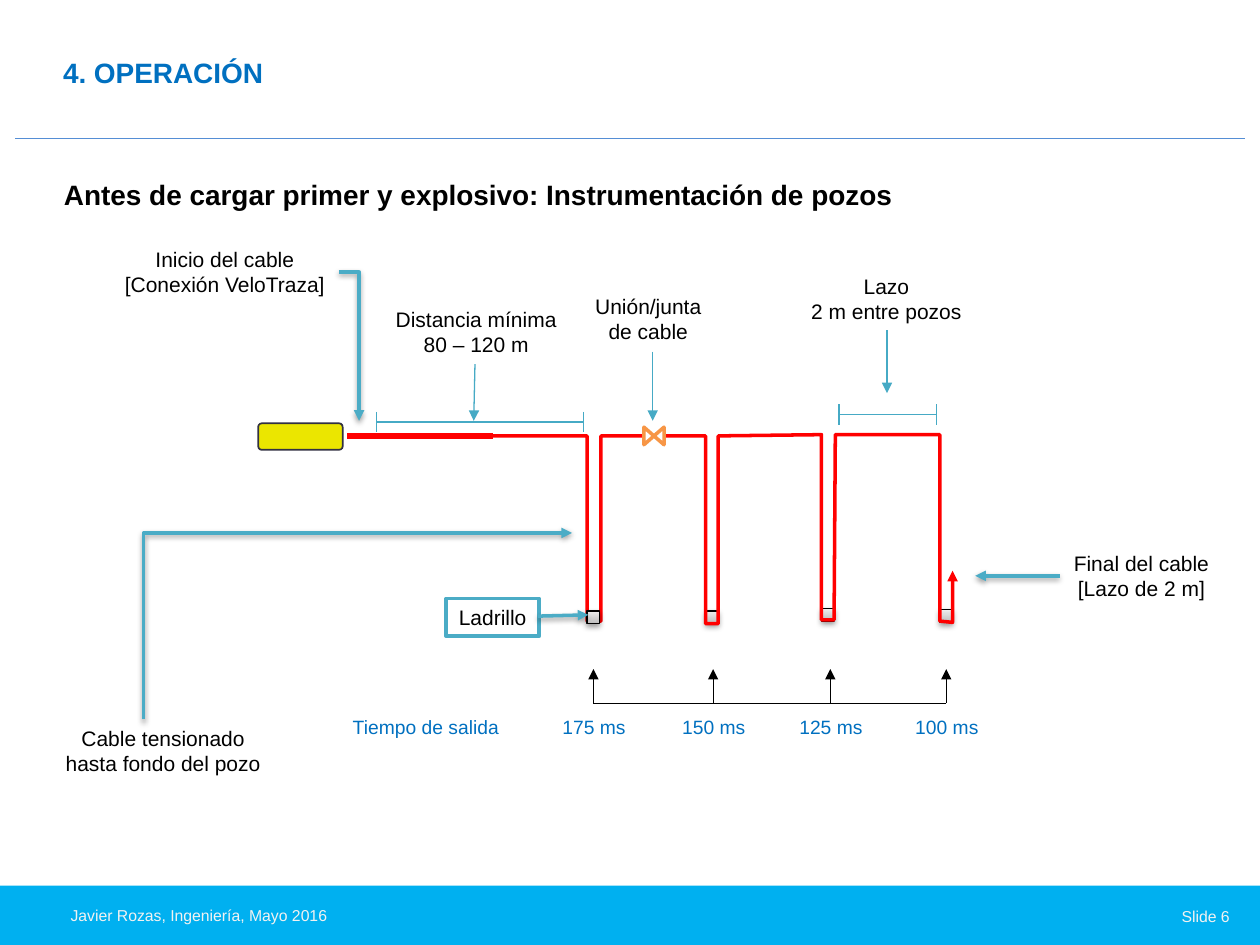
"""Build the slide on instrumenting blast holes before loading."""
from typing import NamedTuple

from lxml import etree
from pptx import Presentation
from pptx.dml.color import RGBColor
from pptx.enum.shapes import MSO_CONNECTOR, MSO_SHAPE
from pptx.enum.text import MSO_ANCHOR, PP_ALIGN
from pptx.oxml.ns import qn
from pptx.util import Inches, Pt

STRAIGHT, ELBOW = MSO_CONNECTOR.STRAIGHT, MSO_CONNECTOR.ELBOW
RECT, ROUNDED, COLLATE = MSO_SHAPE.RECTANGLE, MSO_SHAPE.ROUNDED_RECTANGLE, MSO_SHAPE.FLOWCHART_COLLATE
LEFT, CENTER, RIGHT = PP_ALIGN.LEFT, PP_ALIGN.CENTER, PP_ALIGN.RIGHT
MIDDLE = MSO_ANCHOR.MIDDLE
BLACK, WHITE, PALE, BLUE = "000000", "FFFFFF", "F2F2F2", "0070C0"
BAND, RULE, TEAL, THIN_TEAL, RED = "00B0F0", "558ED5", "4BACC6", "46AAC5", "FF0000"
BRICK = 0.1


class Label(NamedTuple):
    text: str
    x: float
    y: float
    w: float
    h: float = 0.5
    size: float = 12
    color: str = BLACK
    align: PP_ALIGN = CENTER
    bold: bool = False
    inset: bool = True


class Line(NamedTuple):
    x1: float
    y1: float
    x2: float
    y2: float
    color: str = THIN_TEAL
    width: float = 0.75
    arrow: bool = False
    shadow: bool = False
    elbow: str = ""


LABELS = [
    Label("Slide 6", 7.43, 7.2, 2.33, 0.2, 9, PALE, RIGHT, inset=False),
    Label("Javier Rozas, Ingeniería, Mayo 2016", 0.56, 7.19, 6.58, 0.2, 9, PALE, LEFT, inset=False),
    Label("Antes de cargar primer y explosivo: Instrumentación de pozos",
          0.41, 1.36, 6.86, 0.37, 16, align=LEFT, bold=True),
    Label("Final del cable\n[Lazo de 2 m]", 8.41, 4.32, 1.3),
    Label("Inicio del cable\n[Conexión VeloTraza]", 0.88, 1.91, 1.81),
    Label("Lazo\n2 m entre pozos", 6.33, 2.12, 1.41),
    Label("Distancia mínima\n80 – 120 m", 3.01, 2.38, 1.54),
    Label("Unión/junta\nde cable", 4.62, 2.28, 1.05),
    Label("Cable tensionado\nhasta fondo del pozo", 0.39, 5.71, 1.81),
    Label("Tiempo de salida", 2.69, 5.63, 1.38, 0.29, 11, BLUE),
]
DELAYS = [("175 ms", 4.71), ("150 ms", 5.66), ("125 ms", 6.59), ("100 ms", 7.51)]
BRICKS = [(5.6, 4.85), (6.52, 4.83), (7.46, 4.84)]
CABLE = [
    (3.89, 3.46), (4.66, 3.46), (4.66, 4.93), (4.77, 4.93), (4.77, 3.46),
    (5.6, 3.46), (5.6, 4.95), (5.7, 4.95), (5.7, 3.46),
    (6.52, 3.45), (6.52, 4.92), (6.62, 4.92), (6.63, 3.45),
    (7.46, 3.45), (7.46, 4.93), (7.56, 4.94), (7.56, 4.53),
]
POINTERS = [
    Line(8.41, 4.57, 7.74, 4.57, TEAL, 2, True, True),
    Line(2.69, 2.16, 2.85, 3.34, TEAL, 2, True, True, "bentConnector2"),
    Line(1.14, 5.71, 4.54, 4.23, TEAL, 2, True, True, "bentConnector3"),
    Line(7.04, 2.62, 7.04, 3.12, arrow=True),
    Line(3.77, 2.89, 3.76, 3.34, arrow=True),
    Line(5.18, 2.79, 5.18, 3.34, arrow=True),
]
SPANS = [(2.99, 4.63, 3.35), (6.66, 7.43, 3.29)]


def rgb(value: str) -> RGBColor:
    return RGBColor.from_string(value)


def add_shadow(effects) -> None:
    shadow = etree.SubElement(effects, qn("a:outerShdw"), blurRad="40000", dist="20000",
                              dir="5400000", rotWithShape="0")
    tint = etree.SubElement(shadow, qn("a:srgbClr"), val=BLACK)
    etree.SubElement(tint, qn("a:alpha"), val="38000")


def style_line(s, color: str, width: float, arrow: bool = False) -> None:
    s.line.color.rgb = rgb(color)
    s.line.width = Pt(width)
    if arrow:
        etree.SubElement(s._element.spPr.find(qn("a:ln")), qn("a:tailEnd"), type="triangle")


def write(tf, text: str, size: float, color: str, align: PP_ALIGN, bold: bool = False) -> None:
    tf.text = text
    for p in tf.paragraphs:
        p.alignment = align
        p.font.name, p.font.size, p.font.bold = "Arial", Pt(size), bold
        p.font.color.rgb = rgb(color)


def add_label(shapes, label: Label) -> None:
    s = shapes.add_textbox(*map(Inches, label[1:5]))
    tf = s.text_frame
    tf.word_wrap = not label.inset
    if not label.inset:
        tf.margin_left = tf.margin_right = tf.margin_top = tf.margin_bottom = 0
    write(tf, label.text, label.size, label.color, label.align, label.bold)


def add_line(shapes, line: Line) -> None:
    s = shapes.add_connector(ELBOW if line.elbow else STRAIGHT, *map(Inches, line[:4]))
    style_line(s, line.color, line.width, line.arrow)
    sp = s._element.spPr
    if line.elbow:
        geom = sp.find(qn("a:prstGeom"))
        geom.set("prst", line.elbow)
        if line.elbow == "bentConnector3":
            etree.SubElement(geom.find(qn("a:avLst")), qn("a:gd"), name="adj1", fmla="val 0")
    effects = etree.SubElement(sp, qn("a:effectLst"))
    if line.shadow:
        add_shadow(effects)


def add_box(shapes, kind: MSO_SHAPE, x: float, y: float, w: float, h: float,
            fill: str, line: str = "", width: float = 0):
    s = shapes.add_shape(kind, *map(Inches, (x, y, w, h)))
    s.shadow.inherit = False
    s.fill.solid()
    s.fill.fore_color.rgb = rgb(fill)
    if line:
        style_line(s, line, width)
    else:
        s.line.fill.background()
    return s


def add_brick(shapes, x: float, y: float) -> None:
    s = add_box(shapes, RECT, x, y, BRICK, BRICK, PALE, BLACK, 0.75)
    s.fill.gradient()
    s.fill.gradient_angle = 90
    for stop, color in zip(s.fill.gradient_stops, ("BDBDBD", "EEEEEE")):
        stop.color.rgb = rgb(color)
    add_shadow(s._element.spPr.find(qn("a:effectLst")))


def add_cable(shapes) -> None:
    points = [(Inches(x), Inches(y)) for x, y in CABLE]
    builder = shapes.build_freeform(*points[0])
    builder.add_line_segments(points[1:], close=False)
    s = builder.convert_to_shape()
    s.shadow.inherit = False
    s.fill.background()
    style_line(s, RED, 2, True)


def add_title(s) -> None:
    s.left, s.top, s.width, s.height = map(Inches, (0.5, 0.3, 8.04, 0.59))
    tf = s.text_frame
    tf.margin_left = tf.margin_right = tf.margin_top = tf.margin_bottom = 0
    tf.vertical_anchor = MIDDLE
    write(tf, "4. OPERACIÓN", 16, BLUE, LEFT, True)
    tf.paragraphs[0].line_spacing = 0.83


def main() -> None:
    prs = Presentation()
    prs.slide_width, prs.slide_height = Inches(10), Inches(7.5)
    shapes = prs.slides.add_slide(prs.slide_layouts[5]).shapes
    add_title(shapes.title)
    add_box(shapes, RECT, 0, 7.03, 10, 0.47, BAND)
    add_line(shapes, Line(0.12, 1.1, 9.88, 1.1, RULE))
    for x, y in BRICKS:
        add_brick(shapes, x, y)
    add_cable(shapes)
    add_line(shapes, Line(3.91, 3.46, 2.75, 3.46, RED, 3))
    for label in LABELS:
        add_label(shapes, label)
    for pointer in POINTERS:
        add_line(shapes, pointer)
    for left, right, y in SPANS:
        add_line(shapes, Line(left, y, right, y))
        for x in (left, right):
            add_line(shapes, Line(x, y - 0.08, x, y + 0.08))
    add_line(shapes, Line(DELAYS[0][1], 5.58, DELAYS[-1][1], 5.58, BLACK, 0.5))
    for text, x in DELAYS:
        add_line(shapes, Line(x, 5.58, x, 5.31, BLACK, 0.5, True))
        add_label(shapes, Label(text, x - 0.35, 5.63, 0.71, 0.29, 11, BLUE))
    joint = add_box(shapes, COLLATE, 5.12, 3.38, 0.14, 0.16, WHITE, "F79646", 2)
    joint.rotation = 90
    s = add_box(shapes, RECT, 3.54, 4.75, 0.74, 0.3, WHITE, TEAL, 2)
    s.text_frame.word_wrap = False
    write(s.text_frame, "Ladrillo", 12, BLACK, CENTER)
    add_brick(shapes, 4.66, 4.85)
    add_line(shapes, Line(4.27, 4.89, 4.67, 4.88, TEAL, 2, True, True))
    device = add_box(shapes, ROUNDED, 2.05, 3.36, 0.67, 0.21, "EBE600", "323141", 1)
    device.adjustments[0] = 0.13
    prs.save("out.pptx")


if __name__ == "__main__":
    main()
